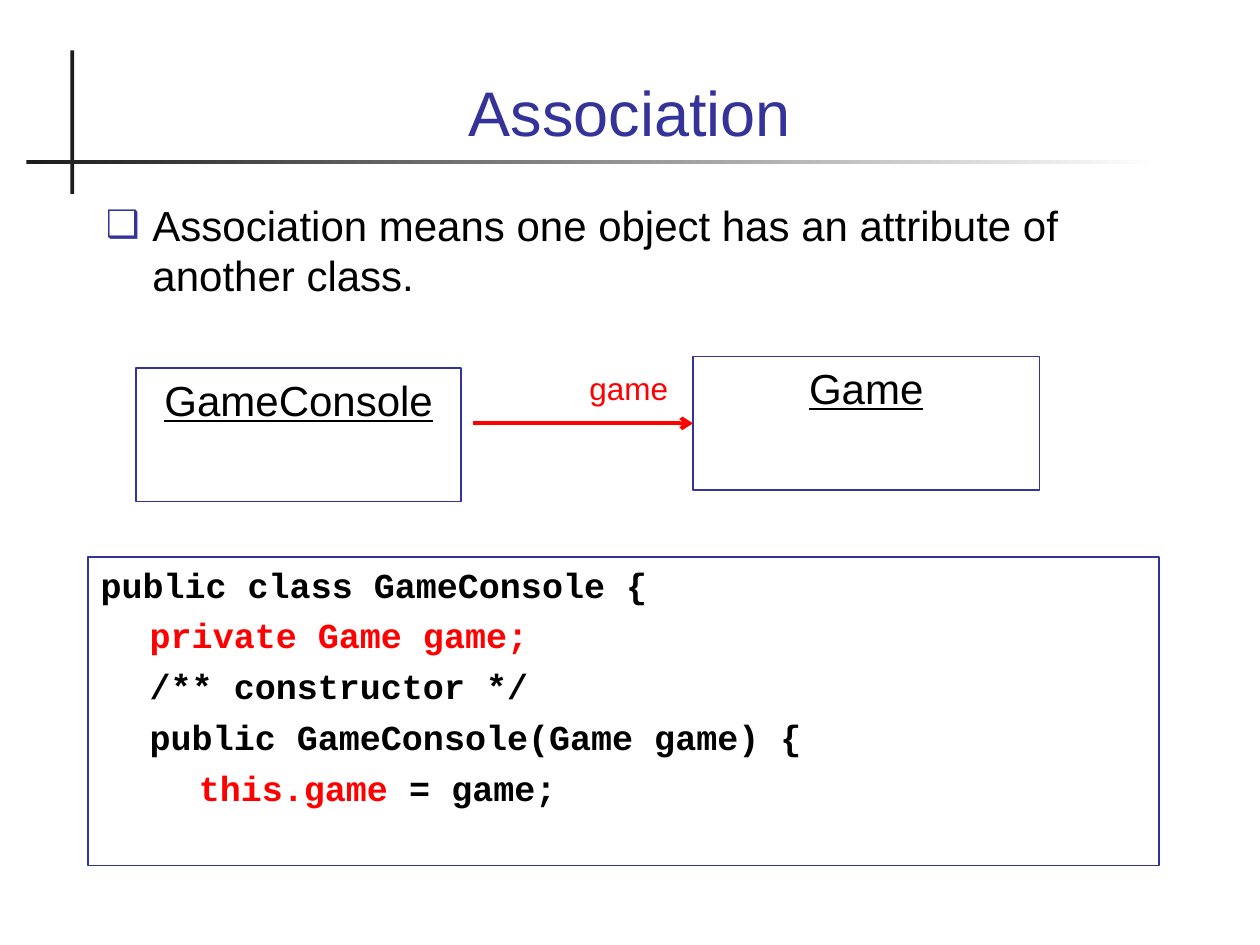
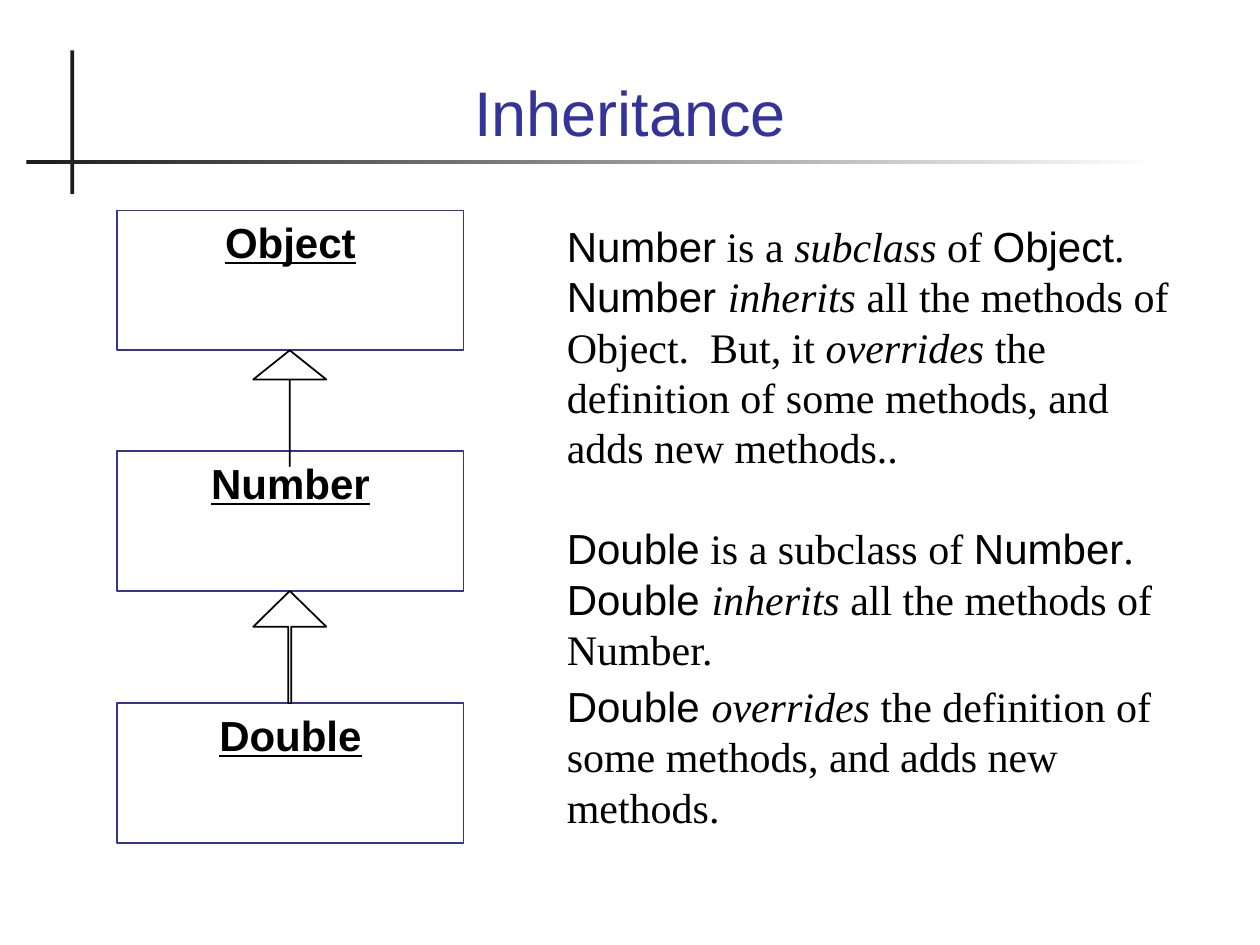
"""Build two slides on association and inheritance between classes."""
from lxml.etree import SubElement
from pptx import Presentation
from pptx.dml.color import RGBColor
from pptx.enum.shapes import MSO_CONNECTOR as Connector, MSO_SHAPE as Shape
from pptx.enum.text import MSO_ANCHOR as Anchor, MSO_AUTO_SIZE as AutoSize, PP_ALIGN as Align
from pptx.oxml.ns import qn
from pptx.util import Pt

EMU_PER_PX = 9144
INDENT = 37
TAB = 39
BLUE, BLACK, RED, WHITE, DARK = "333399", "000000", "FF0000", "FFFFFF", "1C1C1C"
SANS, SERIF, MONO = "Arial", "Times New Roman", "Courier New"


def px(*lengths):
    return [length * EMU_PER_PX for length in lengths]


def color(code):
    return RGBColor.from_string(code)


def write(shape, paragraphs, size=24, font=SANS, ink=BLACK, bold=False, underline=False,
          align=Align.LEFT, anchor=Anchor.TOP, gap=0, bullet=None, tabs=0):
    frame = shape.text_frame
    frame.word_wrap = True
    frame.auto_size = AutoSize.NONE
    frame.vertical_anchor = anchor
    for number, spans in enumerate(paragraphs):
        para = frame.add_paragraph() if number else frame.paragraphs[0]
        if bullet:
            add_bullet(para, bullet)
        if tabs:
            add_tabs(para, tabs)
        para.alignment = align
        para.line_spacing = Pt(size * 1.2)
        para.space_before = Pt(gap if number else 0)
        for text, changes in spans:
            look = {"font": font, "ink": ink, "italic": False, **changes}
            span = para.add_run()
            span.text = text
            span.font.size = Pt(size)
            span.font.name = look["font"]
            span.font.bold = bold
            span.font.italic = look["italic"]
            span.font.underline = underline
            span.font.color.rgb = color(look["ink"])


def add_bullet(para, mark):
    props = para._p.get_or_add_pPr()
    [indent] = px(INDENT)
    props.set("marL", str(indent))
    props.set("indent", str(-indent))
    tint = SubElement(props, qn("a:buClr"))
    SubElement(tint, qn("a:srgbClr"), val=BLUE)
    SubElement(props, qn("a:buSzPct"), val="90000")
    SubElement(props, qn("a:buChar"), char=mark)


def add_tabs(para, count):
    stops = SubElement(para._p.get_or_add_pPr(), qn("a:tabLst"))
    for position in px(*(TAB * step for step in range(1, count + 1))):
        SubElement(stops, qn("a:tab"), pos=str(position), algn="l")


def plain(text, **changes):
    return text, changes


def sans(text):
    return plain(text, font=SANS)


def italic(text):
    return plain(text, italic=True)


class Deck:
    """Holds the shared style and the current slide."""

    def __init__(self):
        self.deck = Presentation()
        self.deck.slide_width, self.deck.slide_height = px(1000, 750)
        self.page = None

    def add_page(self, title, layout):
        self.page = self.deck.slides.add_slide(self.deck.slide_layouts.get_by_name(layout))
        self.shape(Shape.RECTANGLE, 56, 40, 3, 114, fill=DARK)
        rule = self.shape(Shape.RECTANGLE, 21, 127, 899, 3, fill=DARK)
        rule.fill.gradient()
        rule.fill.gradient_angle = 0
        for stop, code in zip(rule.fill.gradient_stops, (DARK, WHITE)):
            stop.color.rgb = color(code)
        self.fill_placeholder(0, (67, 28, 866, 95), title, size=36, ink=BLUE,
                              align=Align.CENTER, anchor=Anchor.BOTTOM)

    def fill_placeholder(self, index, place, text, **style):
        holder = self.page.placeholders[index]
        holder.left, holder.top, holder.width, holder.height = px(*place)
        write(holder, [[plain(text)]], **style)

    def shape(self, kind, left, top, width, height, fill=None, line=None):
        shape = self.page.shapes.add_shape(kind, *px(left, top, width, height))
        shape.shadow.inherit = False
        if fill:
            shape.fill.solid()
            shape.fill.fore_color.rgb = color(fill)
        else:
            shape.fill.background()
        if line:
            shape.line.color.rgb = color(line)
            shape.line.width = Pt(1)
        else:
            shape.line.fill.background()
        return shape

    def box(self, left, top, width, height, paragraphs, **style):
        box = self.shape(Shape.RECTANGLE, left, top, width, height, line=BLUE)
        write(box, paragraphs, **style)
        return box

    def class_box(self, left, top, width, height, name, bold=False):
        return self.box(left, top, width, height, [[plain(name)]], bold=bold,
                        underline=True, align=Align.CENTER)

    def text(self, left, top, width, height, paragraphs, **style):
        write(self.page.shapes.add_textbox(*px(left, top, width, height)), paragraphs, **style)

    def arrow_to(self, target, left, top, right):
        arrow = self.page.shapes.add_connector(Connector.STRAIGHT, *px(left, top, right, top))
        arrow.end_connect(target, 1)
        arrow.line.color.rgb = color(RED)
        arrow.line.width = Pt(2.25)
        SubElement(arrow.line._get_or_add_ln(), qn("a:tailEnd"), type="arrow")
        SubElement(arrow._element.spPr, qn("a:effectLst"))

    def inherit_arrow(self, left, top, width, height, shaft, head):
        arrow = self.shape(Shape.UP_ARROW, left, top, width, height, fill=WHITE, line=BLACK)
        arrow.adjustments[0] = shaft
        arrow.adjustments[1] = head


def add_association(deck):
    deck.add_page("Association", "Title and Content")
    deck.fill_placeholder(1, (74, 153, 866, 107),
                          "Association means one object has an attribute of another class.",
                          bullet="❑")
    deck.class_box(108, 292, 258, 106, "GameConsole")
    game = deck.class_box(550, 283, 275, 106, "Game")
    deck.arrow_to(game, 375, 336, 550)
    code = [
        [plain("public class GameConsole {")],
        [plain("\tprivate Game game;", ink=RED)],
        [plain("\t/** constructor */")],
        [plain("\tpublic GameConsole(Game game) {")],
        [plain("\t\tthis.game", ink=RED), plain(" = game;")],
    ]
    deck.box(70, 442, 850, 245, code, size=20, font=MONO, bold=True, gap=5, tabs=2)
    deck.text(458, 288, 86, 40, [[plain("game")]], size=18, ink=RED)


def add_inheritance(deck):
    deck.add_page("Inheritance", "Title Only")
    for name, top in (("Object", 167), ("Number", 358), ("Double", 558)):
        deck.class_box(93, top, 275, 111, name, bold=True)
    deck.inherit_arrow(201, 278, 58, 92, 0, 0.4)
    deck.inherit_arrow(201, 469, 58, 89, 0.04, 0.49)
    number = [
        sans("Number"), plain(" is a "), italic("subclass"), plain(" of "), sans("Object"),
        plain(". "), sans("Number "), italic("inherits"),
        plain(" all the methods of Object.  But, it "), italic("overrides"),
        plain(" the definition of some methods, and adds new methods.."),
    ]
    double = [
        sans("Double"), plain(" is a subclass of "), sans("Number"), plain(". "),
        sans("Double "), italic("inherits "), plain("all the methods of Number."),
    ]
    overrides = [
        sans("Double "), italic("overrides"),
        plain(" the definition of some methods, and adds new methods."),
    ]
    deck.text(440, 170, 500, 490, [number, double], font=SERIF, gap=28.8)
    frame_top = 535
    deck.text(440, frame_top, 500, 125, [overrides], font=SERIF)


def main():
    deck = Deck()
    add_association(deck)
    add_inheritance(deck)
    deck.deck.save("out.pptx")


if __name__ == "__main__":
    main()
